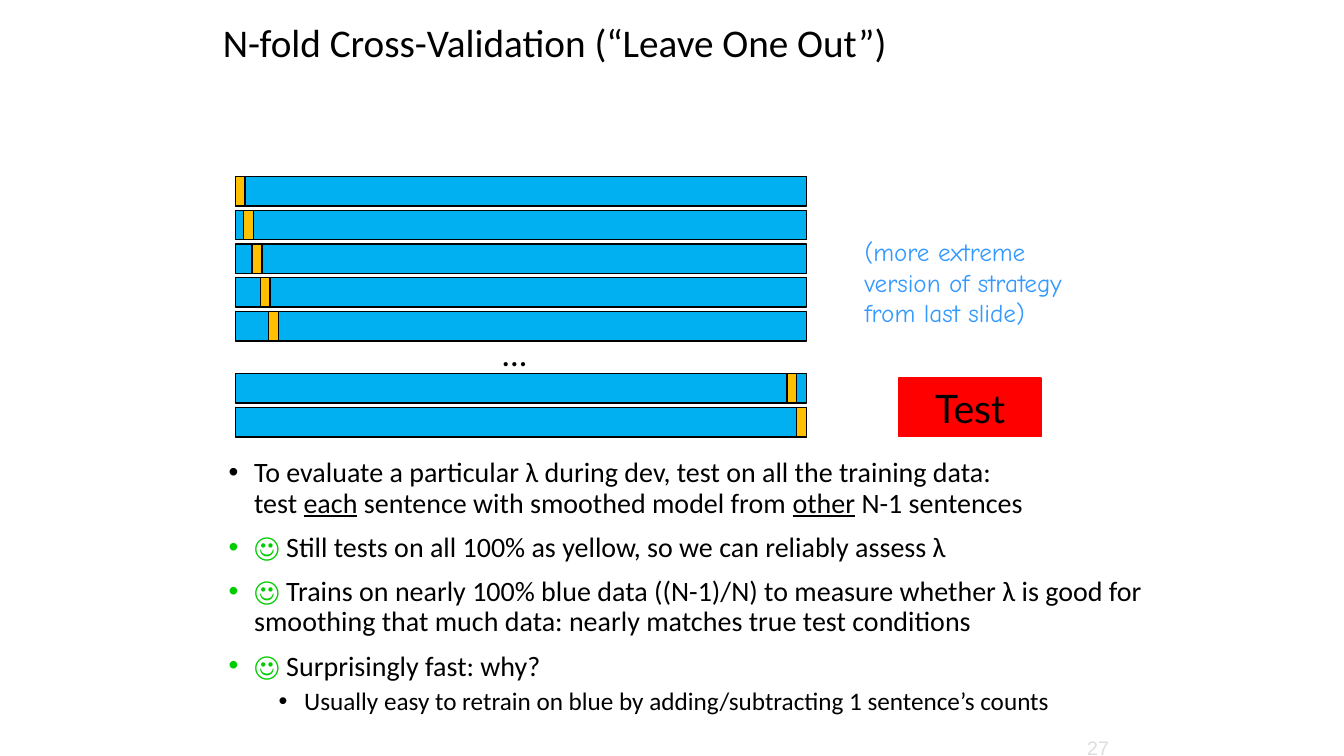
"""Build the leave-one-out cross-validation slide."""
from dataclasses import dataclass

from lxml.etree import SubElement
from pptx import Presentation
from pptx.dml.color import RGBColor
from pptx.enum.shapes import MSO_SHAPE
from pptx.enum.text import MSO_ANCHOR, MSO_AUTO_SIZE, PP_ALIGN
from pptx.oxml.ns import qn
from pptx.shapes.autoshape import Shape
from pptx.slide import Slide
from pptx.text.text import TextFrame, _Paragraph
from pptx.util import Cm, Pt


@dataclass(frozen=True)
class Theme:
    black: str = "000000"
    train: str = "00B0F0"
    held_out: str = "FFC000"
    test: str = "FF0000"
    smile: str = "00CC00"
    aside: str = "3399FF"
    page_number: str = "DDDDDD"
    main_font: str = "Calibri"
    label_font: str = "Lato"
    aside_font: str = "Comic Neue"
    number_font: str = "Arial"
    heading_size: int = 28
    dots_size: int = 24
    body_size: int = 20
    small_size: int = 18
    number_size: int = 14


THEME = Theme()


@dataclass(frozen=True)
class Area:
    left: float
    top: float
    width: float
    height: float

    def lengths(self) -> tuple[Cm, Cm, Cm, Cm]:
        return Cm(self.left), Cm(self.top), Cm(self.width), Cm(self.height)


@dataclass(frozen=True)
class Span:
    text: str
    color: str = THEME.black
    size: int = THEME.body_size
    font: str = THEME.main_font
    bold: bool = False
    italic: bool = False
    underline: bool = False


@dataclass(frozen=True)
class Bullet:
    spans: tuple[Span, ...]
    level: int = 0
    indent: float = 0.64
    space_before: int = 10


@dataclass(frozen=True)
class Fold:
    top: float
    held_out_left: float


@dataclass(frozen=True)
class Label:
    area: Area
    span: Span
    inset: float = 0.25


BAR = Area(5.93, 4.45, 14.4, 0.74)
HELD_OUT_WIDTH = 0.25
ROW_PITCH = 0.85
FOLD_STEP = 0.21
BAR_END = BAR.left + BAR.width
LAST_ROW = 10.27

FOLDS = [Fold(BAR.top + row * ROW_PITCH, BAR.left + row * FOLD_STEP) for row in range(5)] + [
    Fold(LAST_ROW - (1 - row) * ROW_PITCH, BAR_END - (2 - row) * HELD_OUT_WIDTH) for row in range(2)
]

TITLE = Span("N-fold Cross-Validation (“Leave One Out”)", size=THEME.heading_size)
SMILE = Span("☺ ", THEME.smile, bold=True)

BULLETS = (
    Bullet((
        Span("To evaluate a particular λ during dev, test on all the training data:\ntest "),
        Span("each", underline=True),
        Span(" sentence with smoothed model from "),
        Span("other", underline=True),
        Span(" ", italic=True),
        Span("N-1 sentences"),
    )),
    Bullet((SMILE, Span("Still tests on all 100% as yellow, so we can reliably assess λ"))),
    Bullet((
        Span("☺", THEME.smile, bold=True),
        Span(" Trains on nearly 100% blue data ((N-1)/N) to measure whether λ is good for "
             "smoothing that much data: nearly matches true test conditions"),
    )),
    Bullet((SMILE, Span("Surprisingly fast: why?"))),
    Bullet(
        (Span("Usually easy to retrain on blue by adding/subtracting 1 sentence’s counts",
              size=THEME.small_size),),
        level=1, indent=1.9, space_before=5,
    ),
)

LABELS = (
    Label(Area(12.4, 8.26, 1.2, 1.27),
          Span("…", size=THEME.dots_size, font=THEME.label_font)),
    Label(Area(21.54, 5.84, 6.22, 2.54),
          Span("(more extreme\nversion of strategy\nfrom last slide)", THEME.aside,
               THEME.small_size, THEME.aside_font)),
    Label(Area(27.4, 18.55, 0.6, 0.5),
          Span("27", THEME.page_number, THEME.number_size, THEME.number_font), inset=0),
)


def add_span(para: _Paragraph, span: Span) -> None:
    for index, line in enumerate(span.text.split("\n")):
        if index:
            para.add_line_break()
        run = para.add_run()
        run.text = line
        font = run.font
        font.name = span.font
        font.size = Pt(span.size)
        font.bold = span.bold
        font.italic = span.italic
        font.underline = span.underline
        font.color.rgb = RGBColor.from_string(span.color)


def add_bullet(para: _Paragraph, bullet: Bullet) -> None:
    para.level = bullet.level
    para.line_spacing = 0.9
    para.space_before = Pt(bullet.space_before)
    properties = para._p.get_or_add_pPr()
    properties.set("marL", str(Cm(bullet.indent)))
    properties.set("indent", str(Cm(-0.64)))
    SubElement(properties, qn("a:buFont"), typeface=THEME.number_font)
    SubElement(properties, qn("a:buChar"), char="•")
    for span in bullet.spans:
        add_span(para, span)


def place(holder: Shape, area: Area, anchor: MSO_ANCHOR) -> TextFrame:
    holder.left, holder.top, holder.width, holder.height = area.lengths()
    frame = holder.text_frame
    frame.auto_size = MSO_AUTO_SIZE.NONE
    frame.word_wrap = True
    frame.vertical_anchor = anchor
    return frame


def add_box(page: Slide, area: Area, fill: str, line: str = THEME.black) -> Shape:
    box = page.shapes.add_shape(MSO_SHAPE.RECTANGLE, *area.lengths())
    box.shadow.inherit = False
    box.fill.solid()
    box.fill.fore_color.rgb = RGBColor.from_string(fill)
    box.line.color.rgb = RGBColor.from_string(line)
    box.line.width = Pt(1)
    return box


def add_label(page: Slide, label: Label) -> None:
    frame = page.shapes.add_textbox(*label.area.lengths()).text_frame
    frame.word_wrap = False
    frame.margin_left = frame.margin_right = Cm(label.inset)
    frame.margin_top = frame.margin_bottom = Cm(label.inset / 2)
    add_span(frame.paragraphs[0], label.span)


def main() -> None:
    deck = Presentation()
    deck.slide_width, deck.slide_height = Cm(33.87), Cm(19.05)
    page = deck.slides.add_slide(deck.slide_layouts[1])

    title = place(page.shapes.title, Area(5.36, 0.15, 23.85, 1.96), MSO_ANCHOR.MIDDLE)
    title.paragraphs[0].alignment = PP_ALIGN.LEFT
    title.paragraphs[0].line_spacing = 0.9
    add_span(title.paragraphs[0], TITLE)

    body = place(page.placeholders[1], Area(5.51, 11.43, 24.13, 7.42), MSO_ANCHOR.TOP)
    for index, bullet in enumerate(BULLETS):
        add_bullet(body.add_paragraph() if index else body.paragraphs[0], bullet)

    for fold in FOLDS:
        add_box(page, Area(BAR.left, fold.top, BAR.width, BAR.height), THEME.train)
        add_box(page, Area(fold.held_out_left, fold.top, HELD_OUT_WIDTH, BAR.height), THEME.held_out)
    for label in LABELS:
        add_label(page, label)

    test = add_box(page, Area(22.66, 9.53, 3.58, 1.47), THEME.test, THEME.test).text_frame
    test.vertical_anchor = MSO_ANCHOR.MIDDLE
    test.paragraphs[0].alignment = PP_ALIGN.CENTER
    add_span(test.paragraphs[0], Span("Test", size=THEME.heading_size, font=THEME.label_font))

    deck.save("out.pptx")


if __name__ == "__main__":
    main()
